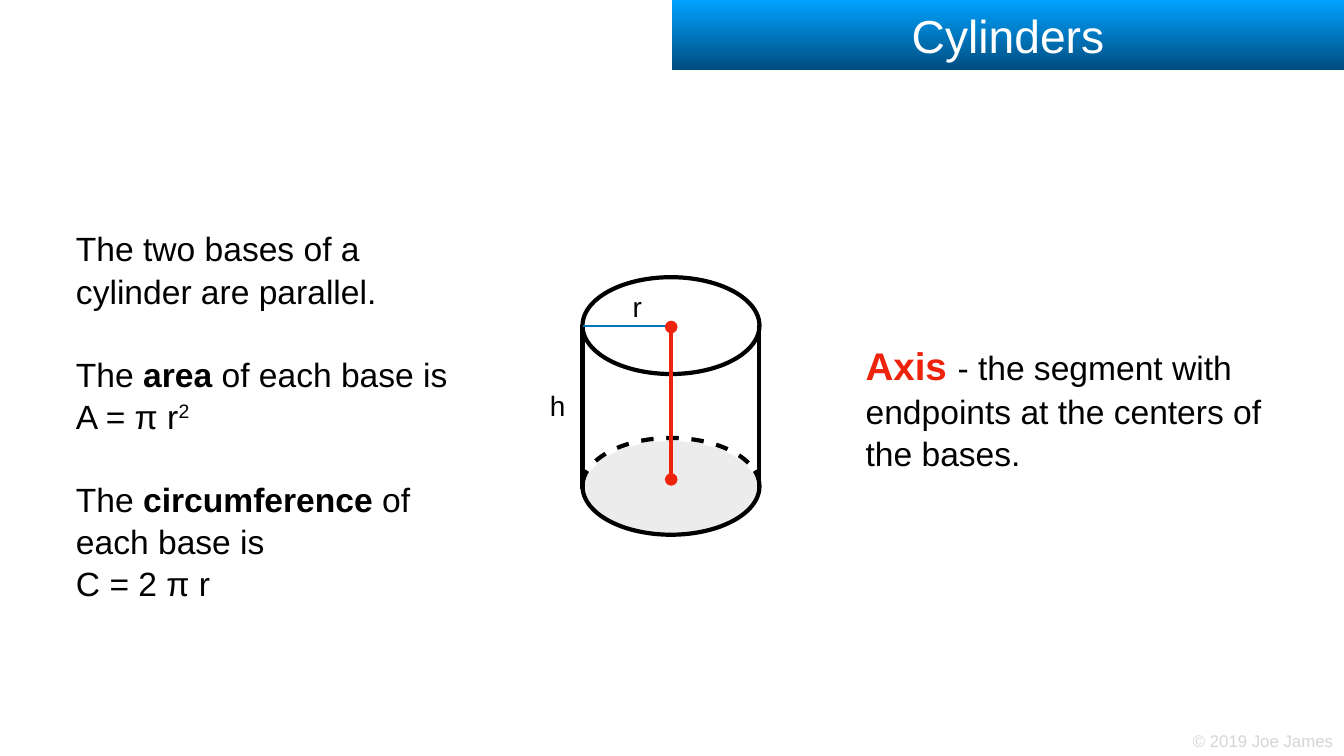
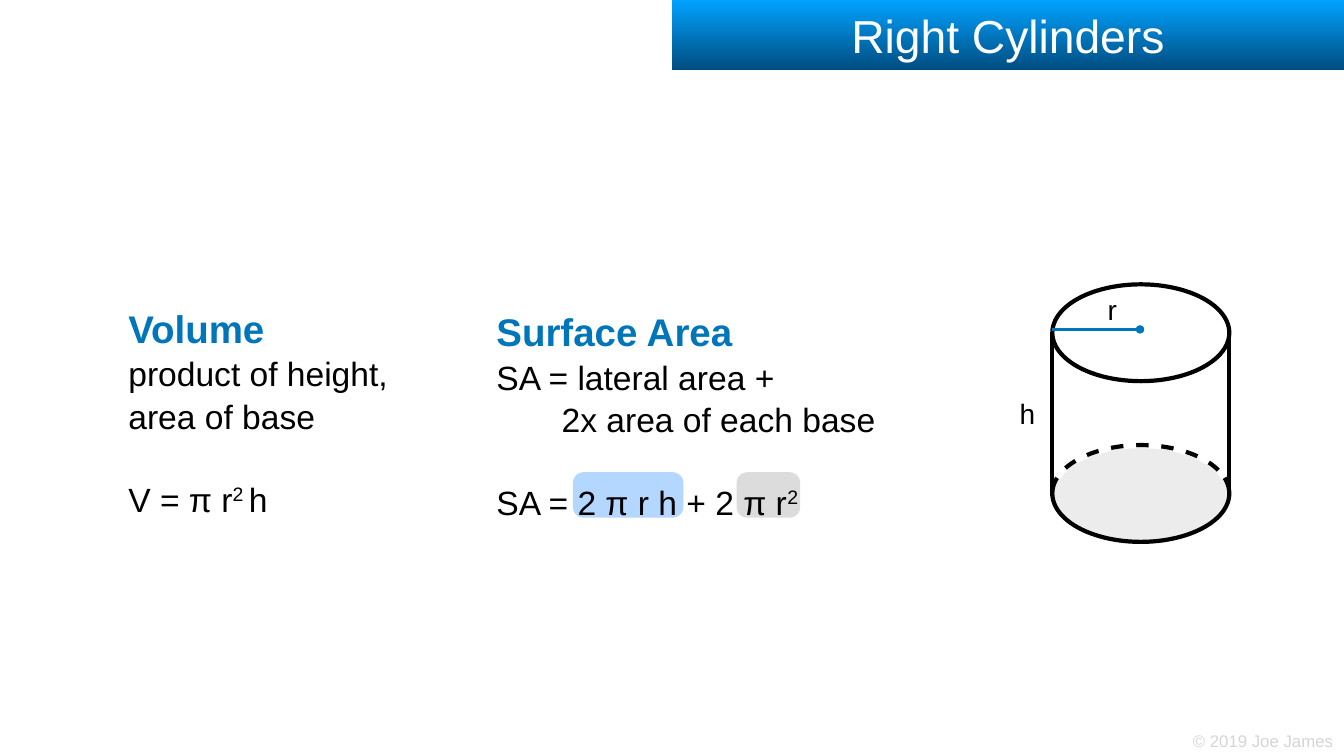
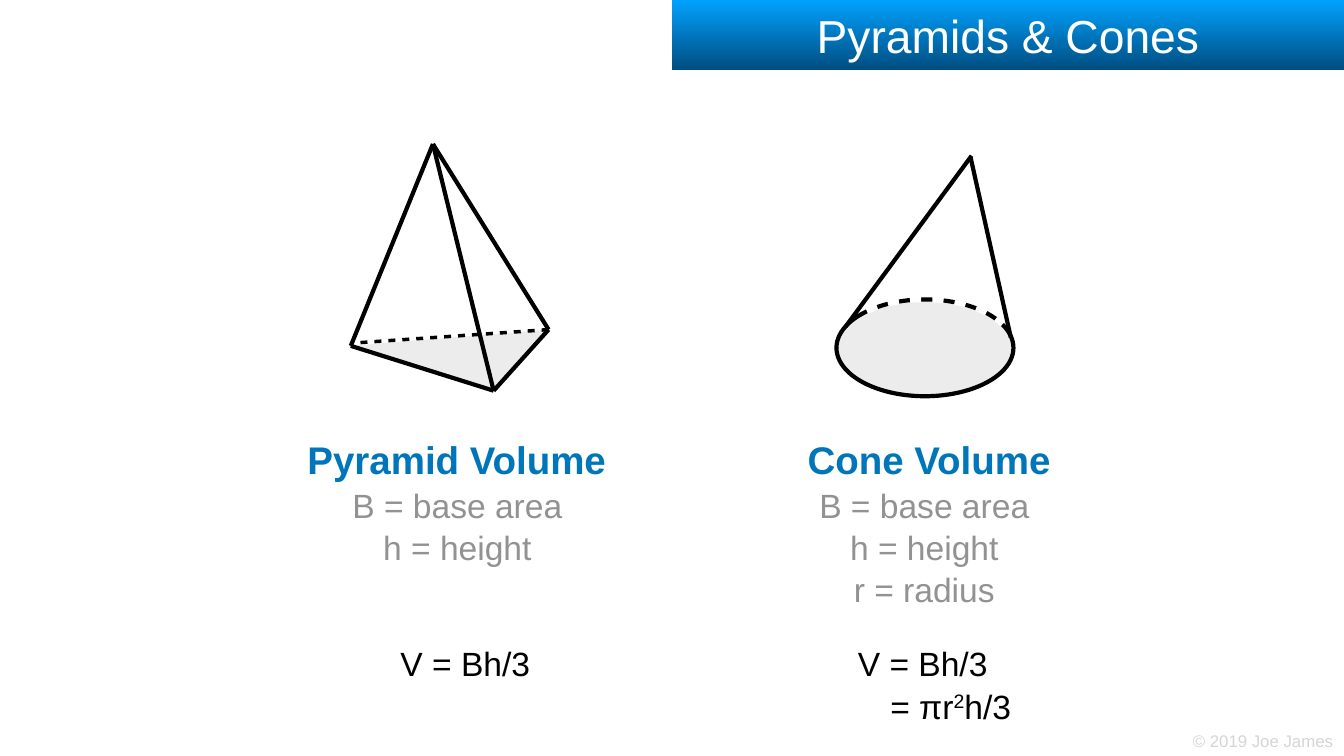
"""Build three geometry slides: cylinders, right cylinders, pyramids and cones."""
import math
from dataclasses import dataclass

from lxml import etree
from pptx import Presentation
from pptx import util as u
from pptx.dml import color
from pptx.enum import shapes, text
from pptx.oxml import ns

COLORS = {"black": "000000", "white": "FFFFFF", "blue": "0076BA", "red": "EE230C",
          "grey": "929292", "pale": "D5D5D5", "base": "ECECEC",
          "lateral_mark": "B3D7FF", "base_mark": "DCDCDC",
          "band_top": "00A2FF", "band_bottom": "004D80"}
STYLES = {"title": (66, "white", False), "footer": (24, "pale", False),
          "label": (40, "black", False), "body": (48, "black", False),
          "strong": (48, "black", True), "super": (48, "black", False),
          "heading": (55, "blue", True), "term": (55, "red", True),
          "note": (48, "grey", False)}
FONT = "Arial"
INSET = 0.15
PROSE_SPACING = 1.05
BLANK_LINE = 58
RIM_W, RIM_H = 8.92, 4.88
EDGE = 6


@dataclass
class Line:
    """One paragraph: (text, style) runs, space before in points, indent in cm."""
    runs: list
    gap: float = 0
    indent: float = 0


def rgb(name):
    """Return the named colour."""
    return color.RGBColor.from_string(COLORS[name])


def write(frame, lines, align=text.PP_ALIGN.LEFT, spacing=1.0):
    """Fill a text frame with styled lines."""
    frame.margin_left = frame.margin_right = u.Cm(INSET)
    frame.margin_top = frame.margin_bottom = u.Cm(INSET)
    for number, line in enumerate(lines):
        paragraph = frame.paragraphs[0] if number == 0 else frame.add_paragraph()
        paragraph.alignment = align
        paragraph.line_spacing = spacing
        if line.gap:
            paragraph.space_before = u.Pt(line.gap)
        if line.indent:
            paragraph._p.get_or_add_pPr().set("marL", str(u.Cm(line.indent)))
        for words, style in line.runs:
            size, tint, bold = STYLES[style]
            run = paragraph.add_run()
            run.text = words
            run.font.name, run.font.size, run.font.bold = FONT, u.Pt(size), bold
            run.font.color.rgb = rgb(tint)
            if style == "super":
                run._r.get_or_add_rPr().set("baseline", "32000")


def prose(slide, box, lines, align=text.PP_ALIGN.LEFT):
    """Add a wrapping text box."""
    frame = slide.shapes.add_textbox(*map(u.Cm, box)).text_frame
    frame.word_wrap = True
    frame.auto_size = text.MSO_AUTO_SIZE.SHAPE_TO_FIT_TEXT
    write(frame, lines, align, PROSE_SPACING)


def label(slide, box, words, style="label", align=text.PP_ALIGN.CENTER):
    """Add a one-line label that does not wrap."""
    frame = slide.shapes.add_textbox(*map(u.Cm, box)).text_frame
    frame.word_wrap = False
    frame.auto_size = text.MSO_AUTO_SIZE.SHAPE_TO_FIT_TEXT
    frame.vertical_anchor = text.MSO_ANCHOR.MIDDLE
    write(frame, [Line([(words, style)])], align)


def paint(shape, fill=None, line=None, width=EDGE):
    """Set fill and outline, each left out when not named."""
    shape.shadow.inherit = False
    if fill:
        shape.fill.solid()
        shape.fill.fore_color.rgb = rgb(fill)
    else:
        shape.fill.background()
    if line:
        shape.line.color.rgb = rgb(line)
        shape.line.width = u.Pt(width)
    else:
        shape.line.fill.background()
    return shape


def dash(shape):
    """Give a line dashes and gaps of twice its width."""
    custom = etree.Element(ns.qn("a:custDash"))
    etree.SubElement(custom, ns.qn("a:ds"), d="200000", sp="200000")
    shape.line.fill._xPr.find(ns.qn("a:solidFill")).addnext(custom)


def segment(holder, start, end, tint="black", width=EDGE, head=False, tail=False):
    """Draw a straight line, with round dots at the ends asked for."""
    line = holder.shapes.add_connector(shapes.MSO_CONNECTOR.STRAIGHT,
                                       *map(u.Cm, (*start, *end)))
    line.line.color.rgb = rgb(tint)
    line.line.width = u.Pt(width)
    for tag, dotted in (("a:headEnd", head), ("a:tailEnd", tail)):
        if dotted:
            etree.SubElement(line.line._get_or_add_ln(), ns.qn(tag), type="oval")
    etree.SubElement(line._element.spPr, ns.qn("a:effectLst"))
    return line


def ellipse(holder, left, top, width=RIM_W, height=RIM_H, **look):
    """Draw an ellipse."""
    oval = holder.shapes.add_shape(shapes.MSO_SHAPE.OVAL,
                                   *map(u.Cm, (left, top, width, height)))
    return paint(oval, **look)


def outline(holder, points, close):
    """Draw straight pieces through points given in cm."""
    spots = [(u.Cm(x), u.Cm(y)) for x, y in points]
    builder = holder.shapes.build_freeform(*spots[0])
    builder.add_line_segments(spots[1:], close=close)
    return builder.convert_to_shape()


def hidden_rim(holder, left, top, first, last, width):
    """Break the far rim of a base with white dashes between two angles."""
    steps = 48
    angles = [math.radians(first + (last - first) * n / steps) for n in range(steps + 1)]
    points = [(left + RIM_W / 2 * (1 + math.cos(a)), top + RIM_H / 2 * (1 + math.sin(a)))
              for a in angles]
    dash(paint(outline(holder, points, False), line="white", width=width))


def cylinder(slide, left, top, radius_y, r_at):
    """Draw a cylinder with its height and radius labels."""
    base_y = top + 8.1
    label(slide, (left - 1.8, top + 5.51, 1.09, 1.93), "h")
    solid = slide.shapes.add_group_shape()
    ellipse(solid, left + 0.05, base_y + 0.03, 8.89, 4.83, fill="base")
    for rim_y in (top, base_y):
        ellipse(solid, left, rim_y, line="black")
    for wall in (left, left + 8.89):
        segment(solid, (wall, top + 10.69), (wall, top + 2.39))
    hidden_rim(solid, left, base_y, 199, 341, 9)
    label(slide, (left + r_at[0], top + r_at[1], 0.79, 1.93), "r")
    segment(slide, (left, top + radius_y), (left + 4.42, top + radius_y),
            "blue", 4, tail=True)


def cone(slide, left, top):
    """Draw an oblique cone."""
    base_y = top + 7.24
    ellipse(slide, left - 0.08, base_y, 8.89, 4.83, fill="base")
    solid = slide.shapes.add_group_shape()
    ellipse(solid, left, base_y, line="black")
    segment(solid, (left + 0.46, top + 8.61), (left + 6.81, top))
    segment(solid, (left + 8.79, top + 9.17), (left + 6.76, top + 0.08))
    hidden_rim(solid, left, base_y, 229, 331, 8)


def pyramid(slide, left, top):
    """Draw a pyramid on a triangular base."""
    apex, west, east, front = [(left + x, top + y) for x, y in
                               ((4.14, 0.05), (0, 10.22), (9.97, 9.4), (7.2, 12.48))]
    solid = slide.shapes.add_group_shape()
    paint(outline(solid, (east, front, west), True), fill="base")
    for start, end in ((west, apex), (east, apex), (front, apex),
                       (front, west), (east, front)):
        segment(solid, start, end)
    dash(segment(solid, east, (west[0] + 0.13, west[1] - 0.14), width=5))


def mark(slide, box, tint):
    """Highlight a term of a formula."""
    patch = slide.shapes.add_shape(shapes.MSO_SHAPE.ROUNDED_RECTANGLE, *map(u.Cm, box))
    patch.adjustments[0] = 0.23
    paint(patch, fill=tint)


def title_band(slide, title):
    """Add the gradient band with the slide title."""
    band = slide.shapes.add_shape(shapes.MSO_SHAPE.RECTANGLE,
                                  *map(u.Cm, (33.87, 0, 33.87, 3.53)))
    paint(band)
    band.fill.gradient()
    band.fill.gradient_angle = 270
    for stop, place, tint in zip(band.fill.gradient_stops, (0, 1),
                                 ("band_top", "band_bottom")):
        stop.position = place
        stop.color.rgb = rgb(tint)
    band.text_frame.word_wrap = True
    band.text_frame.vertical_anchor = text.MSO_ANCHOR.MIDDLE
    write(band.text_frame, [Line([(title, "title")])], text.PP_ALIGN.CENTER)


def new_slide(deck, title):
    """Add a slide with the shared footer and title band."""
    slide = deck.slides.add_slide(deck.slide_layouts[6])
    label(slide, (59.97, 36.7, 7.39, 1.24), "© 2019 Joe James", "footer",
          text.PP_ALIGN.LEFT)
    title_band(slide, title)
    return slide


def cylinders(deck):
    """Build the slide on cylinders and their axis."""
    slide = new_slide(deck, "Cylinders")
    prose(slide, (3.68, 11.25, 19.08, 18.42), [
        Line([("The two bases of a cylinder are parallel.", "body")]),
        Line([("The ", "body"), ("area", "strong"), (" of each base is", "body")],
             BLANK_LINE),
        Line([("A = π r", "body"), ("2", "super")]),
        Line([("The ", "body"), ("circumference", "strong"),
              (" of each base is", "body")], BLANK_LINE),
        Line([("C = 2 π r", "body")])])
    prose(slide, (43.48, 16.99, 20.98, 6.65), [
        Line([("Axis ", "term"),
              ("- the segment with endpoints at the centers of the bases.", "body")])])
    left, top = 29.36, 13.97
    cylinder(slide, left, top, 2.46, (2.36, 0.48))
    segment(slide, (left + 4.47, top + 10.19), (left + 4.47, top + 2.51), "red",
            head=True, tail=True)


def right_cylinders(deck):
    """Build the slide on volume and surface area."""
    slide = new_slide(deck, "Right Cylinders")
    mark(slide, (28.88, 23.8, 5.56, 2.29), "lateral_mark")
    mark(slide, (37.13, 23.8, 3.2, 2.29), "base_mark")
    prose(slide, (6.32, 15.11, 15.16, 10.67), [
        Line([("Volume", "heading")]),
        Line([("product of height, area of base", "body")]),
        Line([("V = π r", "body"), ("2 ", "super"), ("h", "body")], BLANK_LINE)])
    prose(slide, (24.87, 15.27, 20.98, 10.67), [
        Line([("Surface Area", "heading")]),
        Line([("SA = lateral area +", "body")]),
        Line([("2x area of each base", "body")], indent=3.29),
        Line([("SA = 2 π r h + 2 π r", "body"), ("2", "super")], BLANK_LINE)])
    cylinder(slide, 53.04, 14.33, 2.27, (2.62, 0.28))


def pyramids_and_cones(deck):
    """Build the slide on pyramid and cone volume."""
    slide = new_slide(deck, "Pyramids & Cones")
    center = text.PP_ALIGN.CENTER
    legend = [Line([("B = base area ", "note")]), Line([("h = height ", "note")])]
    prose(slide, (14.12, 21.72, 18.34, 6.65),
          [Line([("Pyramid Volume ", "heading")]), *legend], center)
    prose(slide, (36.98, 21.72, 19.69, 8.66),
          [Line([("Cone Volume", "heading")]), *legend,
           Line([("r = radius ", "note")])], center)
    prose(slide, (16.99, 32.16, 12.93, 2.24), [Line([("V = Bh/3", "body")])], center)
    cone(slide, 42.16, 7.85)
    pyramid(slide, 17.68, 7.21)
    prose(slide, (40.28, 32.16, 12.93, 4.27), [
        Line([("V = Bh/3 ", "body")]),
        Line([("= πr", "body"), ("2", "super"), ("h/3", "body")], indent=2.35)], center)


def main():
    """Build and save the deck."""
    deck = Presentation()
    deck.slide_width, deck.slide_height = u.Cm(67.74), u.Cm(38.1)
    for build in (cylinders, right_cylinders, pyramids_and_cones):
        build(deck)
    deck.save("out.pptx")


if __name__ == "__main__":
    main()
